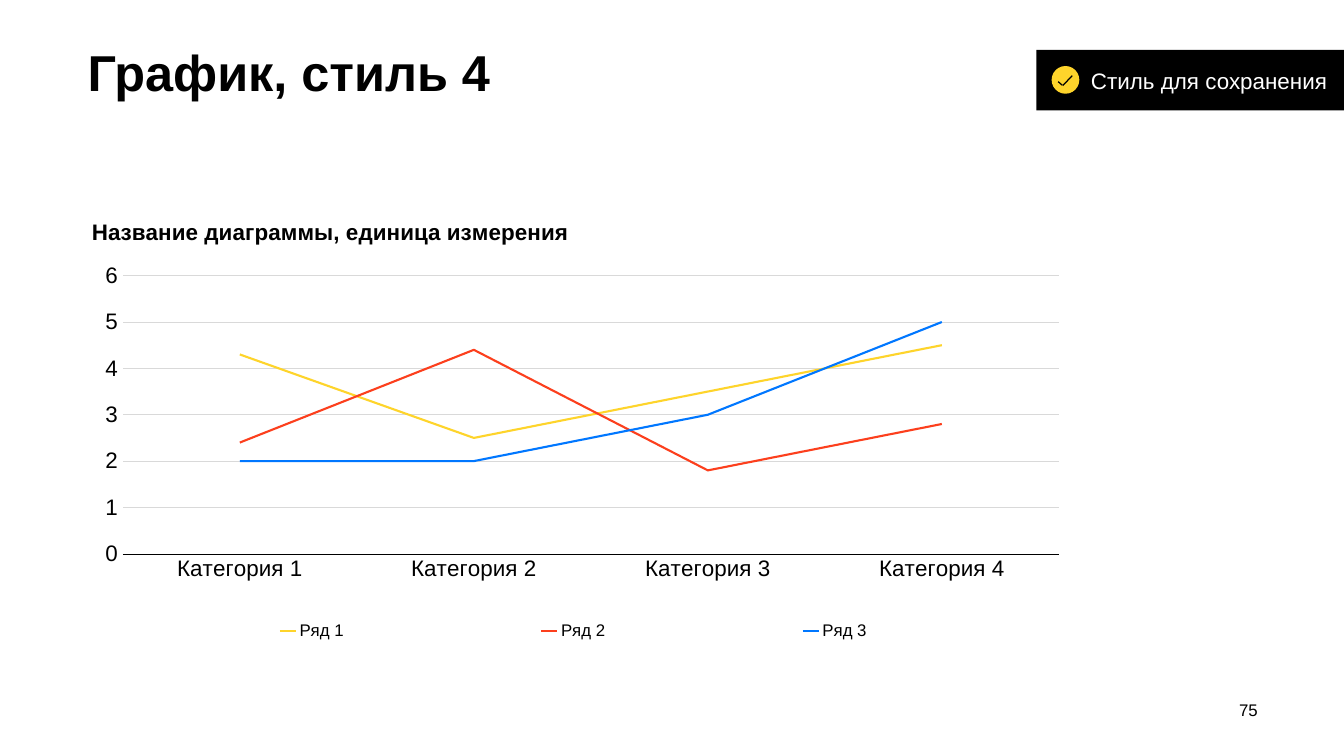
from dataclasses import dataclass

import pptx
import pptx.chart.data
import pptx.dml.color
import pptx.enum.chart
import pptx.enum.shapes
import pptx.enum.text
import pptx.oxml
import pptx.oxml.ns
import pptx.util

Inches = pptx.util.Inches
Pt = pptx.util.Pt
qn = pptx.oxml.ns.qn
CHART_NAMESPACE = pptx.oxml.ns.nsdecls("c")
DRAWING_NAMESPACE = pptx.oxml.ns.nsdecls("a")


@dataclass(frozen=True)
class Theme:
    font: str = "Arial"
    black: str = "000000"
    white: str = "FFFFFF"
    grid: str = "D9D9D9"
    yellow: str = "FED42B"
    red: str = "FC3F1D"
    blue: str = "0077FF"
    heading: int = 72
    label: int = 32
    small: int = 24


THEME = Theme()
CATEGORIES = [f"Категория {number}" for number in range(1, 5)]
SERIES = [
    ("Ряд 1", (4.3, 2.5, 3.5, 4.5), THEME.yellow),
    ("Ряд 2", (2.4, 4.4, 1.8, 2.8), THEME.red),
    ("Ряд 3", (2, 2, 3, 5), THEME.blue),
]


def color(code):
    return pptx.dml.color.RGBColor.from_string(code)


def style_font(font, size, code=THEME.black, bold=False):
    font.name = THEME.font
    font.size = Pt(size)
    font.bold = bold
    font.color.rgb = color(code)


def style_line(line, code, width):
    line.color.rgb = color(code)
    line.width = Pt(width)


def write_text(frame, text, size, code=THEME.black, bold=False, align="LEFT",
               anchor="TOP", insets=(0, 0, 0, 0)):
    frame.word_wrap = True
    frame.vertical_anchor = pptx.enum.text.MSO_ANCHOR[anchor]
    (frame.margin_left, frame.margin_top,
     frame.margin_right, frame.margin_bottom) = map(Inches, insets)
    para = frame.paragraphs[0]
    para.alignment = pptx.enum.text.PP_ALIGN[align]
    span = para.add_run()
    span.text = text
    style_font(span.font, size, code, bold)


def add_text(page, box, text, size, **text_format):
    shape = page.shapes.add_textbox(*map(Inches, box))
    write_text(shape.text_frame, text, size, **text_format)


def add_filled(shapes, kind, box, code):
    shape = shapes.add_shape(kind, *map(Inches, box))
    shape.shadow.inherit = False
    shape.fill.solid()
    shape.fill.fore_color.rgb = color(code)
    shape.line.fill.background()
    return shape


def add_stroke(shapes, start, end):
    stroke = shapes.add_connector(
        pptx.enum.shapes.MSO_CONNECTOR.STRAIGHT, *map(Inches, start + end))
    style_line(stroke.line, THEME.black, 1.75)
    stroke._element.spPr.append(
        pptx.oxml.parse_xml(f"<a:effectLst {DRAWING_NAMESPACE}/>"))


def add_badge(page, box, text):
    left, top, _, _ = box
    shapes = page.shapes.add_group_shape().shapes
    kinds = pptx.enum.shapes.MSO_SHAPE
    banner = add_filled(shapes, kinds.RECTANGLE, box, THEME.black)
    write_text(banner.text_frame, text, THEME.label, code=THEME.white,
               anchor="MIDDLE", insets=(1.08, 0.24, 0.1, 0.24))
    add_filled(shapes, kinds.OVAL, (left + 0.3, top + 0.32, 0.55, 0.55), THEME.yellow)
    add_stroke(shapes, (left + 0.43, top + 0.63), (left + 0.51, top + 0.7))
    add_stroke(shapes, (left + 0.52, top + 0.71), (left + 0.71, top + 0.51))


def set_layout(element, inner=False, **fractions):
    for old in element.findall(qn("c:layout")):
        element.remove(old)
    target = '<c:layoutTarget val="inner"/>' if inner else ""
    modes = "".join(f'<c:{axis}Mode val="edge"/>' for axis in "xy")
    values = "".join(f'<c:{name} val="{value}"/>' for name, value in fractions.items())
    layout = pptx.oxml.parse_xml(
        f"<c:layout {CHART_NAMESPACE}><c:manualLayout>{target}{modes}{values}"
        "</c:manualLayout></c:layout>")
    overlay = element.find(qn("c:overlay"))
    following = element[0] if overlay is None else overlay
    following.addprevious(layout)


def style_axes(chart):
    marks = pptx.enum.chart.XL_TICK_MARK
    category_axis, value_axis = chart.category_axis, chart.value_axis
    for axis in (category_axis, value_axis):
        style_font(axis.tick_labels.font, THEME.label)
        axis.minor_tick_mark = marks.NONE
    category_axis.major_tick_mark = marks.NONE
    style_line(category_axis.format.line, THEME.black, 1)
    value_axis.major_tick_mark = marks.OUTSIDE
    value_axis.format.line.fill.background()
    value_axis.minimum_scale, value_axis.maximum_scale = 0, 6
    value_axis.major_unit = 1
    style_line(value_axis.major_gridlines.format.line, THEME.grid, 1)


def add_line_chart(page, box, title):
    data = pptx.chart.data.CategoryChartData()
    data.categories = CATEGORIES
    for name, values, _ in SERIES:
        data.add_series(name, values)
    chart = page.shapes.add_chart(
        pptx.enum.chart.XL_CHART_TYPE.LINE, *map(Inches, box), data).chart
    style_font(chart.font, THEME.small)
    style_axes(chart)

    chart.has_title = True
    write_text(chart.chart_title.text_frame, title, THEME.label, bold=True)
    set_layout(chart.chart_title._element, x=0, y=0.08)

    chart.has_legend = True
    chart.legend.position = pptx.enum.chart.XL_LEGEND_POSITION.BOTTOM
    chart.legend.include_in_layout = False
    style_font(chart.legend.font, THEME.small)
    set_layout(chart.legend._element, x=0, y=0.91, w=0.83, h=0.08)

    set_layout(chart._chartSpace.chart.plotArea, inner=True,
               x=0.03, y=0.21, w=0.8, h=0.58)
    chart.plots[0].vary_by_categories = False
    for series, (_, _, code) in zip(chart.plots[0].series, SERIES):
        series.smooth = False
        series.marker.style = pptx.enum.chart.XL_MARKER_STYLE.NONE
        style_line(series.format.line, code, 3)


def main():
    deck = pptx.Presentation()
    deck.slide_width, deck.slide_height = Inches(26.66), Inches(15)
    page = deck.slides.add_slide(deck.slide_layouts[6])
    add_text(page, (1.74, 0.6, 23.22, 1.59), "График, стиль 4", THEME.heading,
             bold=True, insets=(0, 0.22, 0, 0))
    add_text(page, (23.75, 13.8, 1.2, 0.48), "75", THEME.small,
             align="RIGHT", anchor="MIDDLE", insets=(0, 0.08, 0, 0))
    add_line_chart(page, (1.74, 3.47, 23.21, 9.52),
                   "Название диаграммы, единица измерения")
    add_badge(page, (20.56, 0.99, 6.11, 1.2), "Стиль для сохранения")
    deck.save("out.pptx")


if __name__ == "__main__":
    main()
